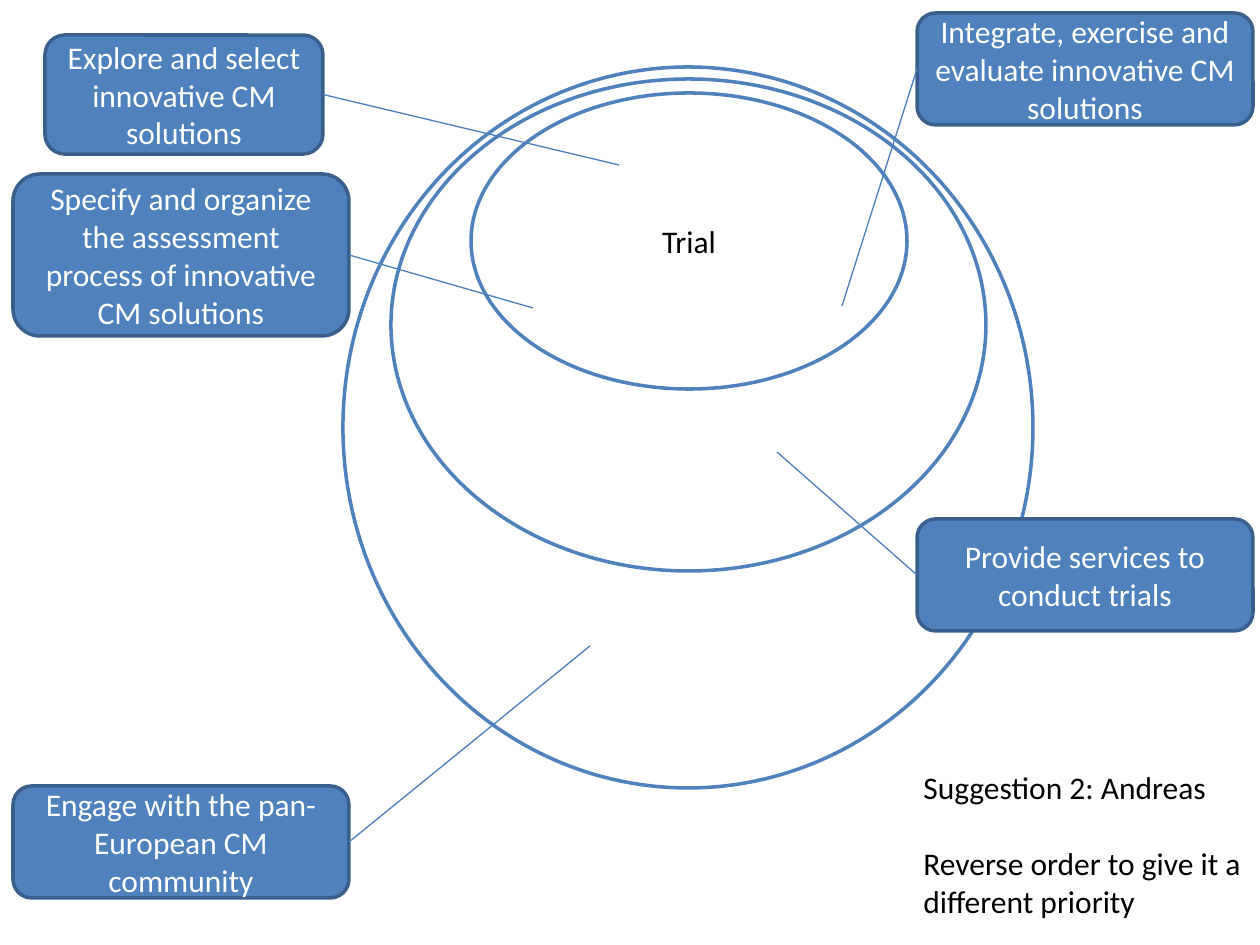
"""Build a slide of nested trial ellipses with labelled callouts."""
import pptx
import pptx.util
import pptx.dml.color
import pptx.enum.shapes
import pptx.enum.text
import pptx.oxml

HUES = {"ring": "4F81BD", "box": "4F81BD", "edge": "3A5F8C", "link": "4B7EBC",
        "white": "FFFFFF", "black": "000000"}
RINGS = [
    ((343, 67, 690, 721), ""),
    ((391, 79, 595, 492), ""),
    ((471, 93, 436, 296), "Trial"),
]
CALLS = [
    ("Provide services to conduct trials", (917, 519, 336, 112), 1, (777, 452)),
    ("Engage with the pan-European CM community", (13, 786, 336, 112), 3, (590, 646)),
    ("Explore and select innovative CM solutions", (45, 35, 278, 119), 3, (619, 165)),
    ("Specify and organize the assessment process of innovative CM solutions",
     (13, 174, 336, 162), 3, (533, 308)),
    ("Integrate, exercise and evaluate innovative CM solutions",
     (917, 13, 336, 112), 1, (842, 306)),
]
NOTE = ["Suggestion 2: Andreas", "Reverse order to give it a different priority"]
NOTE_AT = (911, 762, 348, 165)
FONT = {"name": "Calibri", "size": pptx.util.Pt(18)}
KIND = pptx.enum.shapes.MSO_SHAPE
ALIGN = pptx.enum.text.PP_ALIGN


def emu(*vals):
    return [round(val * 914400 / 126) for val in vals]


def tint(name):
    return pptx.dml.color.RGBColor.from_string(HUES[name])


def write(para, text, hue, align):
    para.text = text
    para.alignment = align
    for key, val in FONT.items():
        setattr(para.font, key, val)
    para.font.color.rgb = tint(hue)


def add_form(slide, kind, place, text, fill, edge, ink):
    form = slide.shapes.add_shape(kind, *emu(*place))
    form.shadow.inherit = False
    form.fill.solid()
    form.fill.fore_color.rgb = tint(fill)
    form.line.color.rgb = tint(edge)
    form.line.width = pptx.util.Pt(2)
    if text:
        form.text_frame.word_wrap = True
        form.text_frame.vertical_anchor = pptx.enum.text.MSO_ANCHOR.MIDDLE
        write(form.text_frame.paragraphs[0], text, ink, ALIGN.CENTER)
    return form


def add_link(slide, box, side, end):
    link = slide.shapes.add_connector(
        pptx.enum.shapes.MSO_CONNECTOR.STRAIGHT, box.left, box.top, *emu(*end))
    link.begin_connect(box, side)
    link.line.color.rgb = tint("link")
    link.line.width = pptx.util.Pt(0.75)
    props = link._element.spPr
    props.append(pptx.oxml.parse_xml(
        '<a:effectLst xmlns:a="http://schemas.openxmlformats.org/drawingml/2006/main"/>'))


def add_note(slide):
    frame = slide.shapes.add_textbox(*emu(*NOTE_AT)).text_frame
    frame.word_wrap = True
    for num, text in enumerate(NOTE):
        para = frame.add_paragraph() if num else frame.paragraphs[0]
        write(para, text, "black", ALIGN.LEFT)
        if num:
            para.space_before = pptx.util.Pt(22)


def main():
    deck = pptx.Presentation()
    deck.slide_width, deck.slide_height = emu(1260, 945)
    slide = deck.slides.add_slide(deck.slide_layouts[6])
    for place, text in RINGS:
        add_form(slide, KIND.OVAL, place, text, "white", "ring", "black")
    for text, place, side, end in CALLS:
        box = add_form(slide, KIND.ROUNDED_RECTANGLE, place, text, "box", "edge", "white")
        add_link(slide, box, side, end)
    add_note(slide)
    deck.save("out.pptx")


if __name__ == "__main__":
    main()
